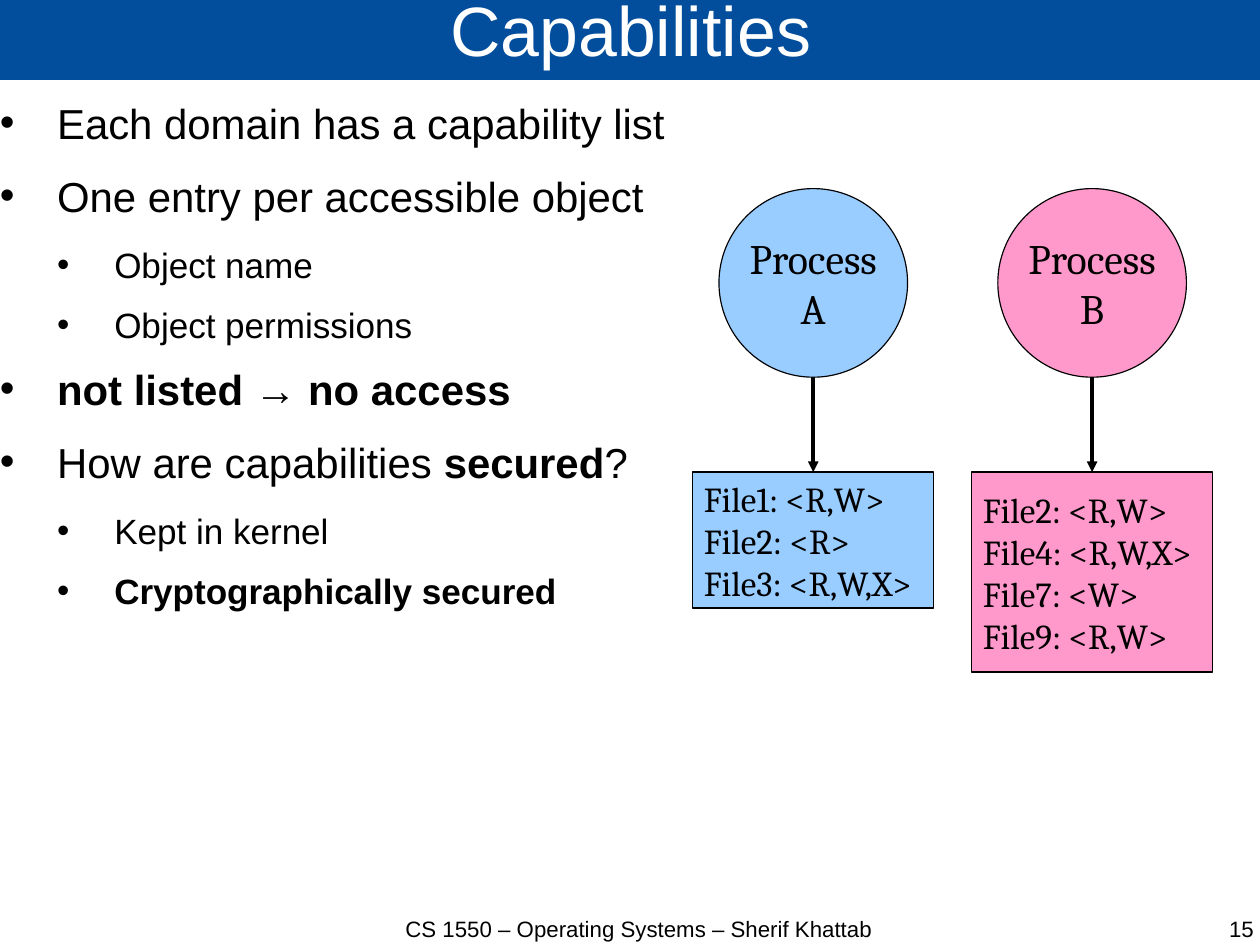
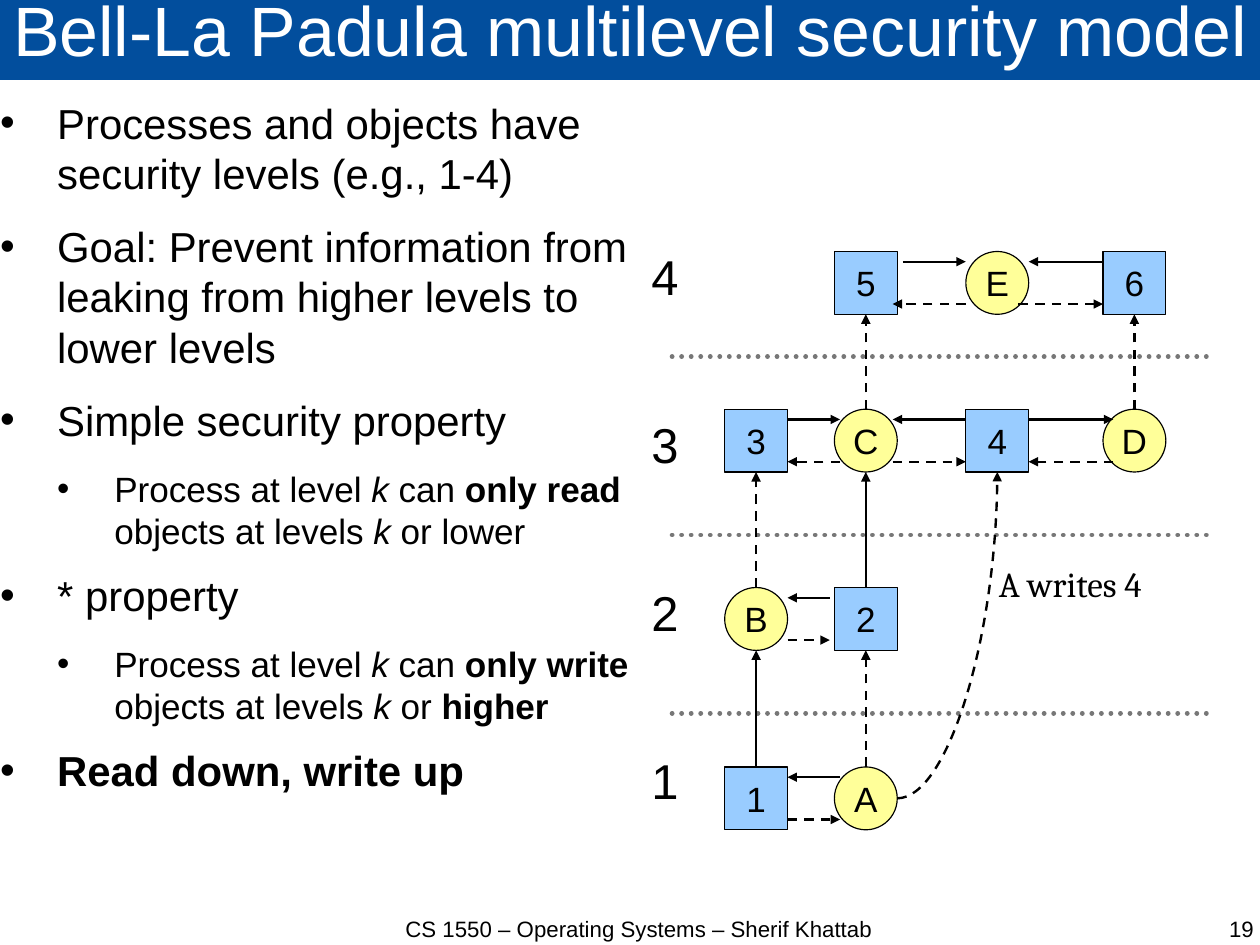
from lxml import etree
from pptx import Presentation
from pptx.dml.color import RGBColor
from pptx.enum.dml import MSO_LINE
from pptx.enum.shapes import MSO_CONNECTOR, MSO_SHAPE
from pptx.enum.text import MSO_ANCHOR, MSO_AUTO_SIZE, PP_ALIGN
from pptx.oxml.ns import qn
from pptx.util import Inches, Pt

RECT, ELLIPSE = MSO_SHAPE.RECTANGLE, MSO_SHAPE.OVAL
STRAIGHT, CURVE = MSO_CONNECTOR.STRAIGHT, MSO_CONNECTOR.CURVE
DASH, DOT = MSO_LINE.DASH, MSO_LINE.ROUND_DOT
LEFT, CENTER, RIGHT = PP_ALIGN.LEFT, PP_ALIGN.CENTER, PP_ALIGN.RIGHT
TOP, MIDDLE = MSO_ANCHOR.TOP, MSO_ANCHOR.MIDDLE
GROW = MSO_AUTO_SIZE.SHAPE_TO_FIT_TEXT
SIDE_TOP, SIDE_BOTTOM = 0, 2


class Theme:
    black, white = "000000", "FFFFFF"
    band, separator = "024E9D", "777777"
    blue, pink, yellow = "99CCFF", "FF99CC", "FFFF99"
    sans, serif = "Arial", "Cambria"
    title, level, body, detail, footer = 44, 30.87, 26.46, 22.05, 14
    body_sizes = (body, detail)
    body_gaps = (14.2, 11.4)


def add_text(slide, paragraphs, box, size=Theme.detail, font=Theme.sans, color=Theme.black,
             shape=None, fill=None, outline=True, align=LEFT, anchor=TOP, wrap=False,
             inset=True, grow=False, spacing=None, bullets=False):
    """Each paragraph is (level, text); | toggles bold and _ toggles italic."""
    place = [Inches(length) for length in box]
    if shape is None:
        holder = slide.shapes.add_textbox(*place)
    else:
        holder = slide.shapes.add_shape(shape, *place)
        holder.shadow.inherit = False
        holder.fill.solid()
        holder.fill.fore_color.rgb = RGBColor.from_string(fill)
        if outline:
            holder.line.color.rgb = RGBColor.from_string(Theme.black)
            holder.line.width = Pt(0.75)
        else:
            holder.line.fill.background()
    frame = holder.text_frame
    frame.word_wrap = wrap
    frame.vertical_anchor = anchor
    if grow:
        frame.auto_size = GROW
    if not inset:
        frame.margin_left = frame.margin_right = frame.margin_top = frame.margin_bottom = 0
    if isinstance(paragraphs, str):
        paragraphs = [(0, paragraphs)]
    for number, (level, text) in enumerate(paragraphs):
        paragraph = frame.add_paragraph() if number else frame.paragraphs[0]
        paragraph.alignment = align
        if spacing:
            paragraph.line_spacing = spacing
        run_size = size
        if bullets:
            run_size = Theme.body_sizes[level]
            paragraph.level = level
            properties = paragraph._p.get_or_add_pPr()
            properties.set("marL", str(Inches(0.5 * (level + 1))))
            properties.set("indent", str(Inches(-0.5)))
            bullet_color = etree.SubElement(properties, qn("a:buClr"))
            etree.SubElement(bullet_color, qn("a:srgbClr")).set("val", color)
            etree.SubElement(properties, qn("a:buFont")).set("typeface", font)
            etree.SubElement(properties, qn("a:buChar")).set("char", "•")
            paragraph.space_after = Pt(Theme.body_gaps[level])
        for line_number, line in enumerate(text.split("\n")):
            if line_number:
                paragraph.add_line_break()
            for bold_index, chunk in enumerate(line.split("|")):
                for italic_index, part in enumerate(chunk.split("_")):
                    if part:
                        run = paragraph.add_run()
                        run.text = part
                        run.font.name = font
                        run.font.size = Pt(run_size)
                        run.font.bold = bold_index % 2 == 1
                        run.font.italic = italic_index % 2 == 1
                        run.font.color.rgb = RGBColor.from_string(color)
    return holder


def add_line(slide, start, end, width=1.5, color=Theme.black, dash=None, arrow=True, kind=STRAIGHT):
    line = slide.shapes.add_connector(kind, *[Inches(length) for length in (*start, *end)])
    line.line.color.rgb = RGBColor.from_string(color)
    line.line.width = Pt(width)
    if dash:
        line.line.dash_style = dash
    properties = line.element.spPr
    stroke = properties.find(qn("a:ln"))
    if dash == DOT:
        stroke.set("cap", "rnd")
    if arrow:
        etree.SubElement(stroke, qn("a:tailEnd")).set("type", "triangle")
    if kind == CURVE:
        properties.find(qn("a:prstGeom")).set("prst", "curvedConnector2")
    etree.SubElement(properties, qn("a:effectLst"))
    return line


presentation = Presentation()
presentation.slide_width = Inches(28 / 2.54)
presentation.slide_height = Inches(21 / 2.54)

contents = [
    ("Capabilities", "15", 6.06, [
        (0, "Each domain has a capability list"),
        (0, "One entry per accessible object"),
        (1, "Object name"),
        (1, "Object permissions"),
        (0, "|not listed → no access|"),
        (0, "How are capabilities |secured|?"),
        (1, "Kept in kernel"),
        (1, "|Cryptographically secured|"),
    ]),
    ("Bell-La Padula multilevel security model", "19", 5.51, [
        (0, "Processes and objects have security levels (e.g., 1-4)"),
        (0, "Goal: Prevent information from leaking from higher levels to lower levels"),
        (0, "Simple security property"),
        (1, "Process at level _k_ can |only read |objects at levels _k_ or lower"),
        (0, "* property"),
        (1, "Process at level _k_ can |only write |objects at levels _k_ or |higher|"),
        (0, "|Read down, write up|"),
    ]),
]
slides = []
for title, page, body_width, points in contents:
    slide = presentation.slides.add_slide(presentation.slide_layouts[6])
    add_text(slide, title, (0, -0.02, 11.04, 0.72), size=Theme.title, color=Theme.white,
             shape=RECT, fill=Theme.band, outline=False, align=CENTER, anchor=MIDDLE,
             wrap=True, inset=False, spacing=0.69)
    add_text(slide, points, (0, 0.85, body_width, 7.12), wrap=True, inset=False, bullets=True)
    add_text(slide, "CS 1550 – Operating Systems – Sherif Khattab", (3.07, 8.01, 5.04, 0.55),
             size=Theme.footer, align=CENTER, wrap=True, inset=False)
    add_text(slide, page, (8.44, 8.01, 2.53, 0.55),
             size=Theme.footer, align=RIGHT, wrap=True, inset=False)
    slides.append(slide)
capabilities, security_model = slides

processes = [
    ("Process\nA", 6.06, 1.19, Theme.blue, "File1: <R,W>\nFile2: <R>\nFile3: <R,W,X>"),
    ("Process\nB", 8.5, 1.75, Theme.pink, "File2: <R,W>\nFile4: <R,W,X>\nFile7: <W>\nFile9: <R,W>"),
]
list_width, list_top, circle, circle_top = 2.11, 4.13, 1.65, 1.65
for process, left, list_height, fill, entries in processes:
    middle = left + list_width / 2
    capability_list = add_text(capabilities, entries, (left, list_top, list_width, list_height),
                               font=Theme.serif, shape=RECT, fill=fill, anchor=MIDDLE)
    pointer = add_line(capabilities, (middle, circle_top + circle), (middle, list_top), width=2.25)
    pointer.end_connect(capability_list, SIDE_TOP)
    add_text(capabilities, process, (middle - circle / 2, circle_top, circle, circle),
             size=Theme.body, font=Theme.serif, shape=ELLIPSE, fill=fill,
             align=CENTER, anchor=MIDDLE)

for index in range(3):
    separator_y = 3.12 + 1.56 * index
    add_line(security_model, (5.88, separator_y), (10.56, separator_y),
             width=3, color=Theme.separator, dash=DOT, arrow=False)
for index, level in enumerate("4321"):
    add_text(security_model, level, (5.6, 2.11 + 1.47 * index, 0.44, 0.62),
             size=Theme.level, grow=True)

node = 0.55
columns = (6.34, 7.3, 8.45, 9.65)
level_tops = {4: 2.2, 3: 3.58, 2: 5.14, 1: 6.71}
level_nodes = {4: " 5E6", 3: "3C4D", 2: "B2", 1: "1A"}
nodes, corners = {}, {}
for level, names in level_nodes.items():
    for left, name in zip(columns, names):
        if name != " ":
            is_process = name.isalpha()
            corners[name] = (left, level_tops[level])
            nodes[name] = add_text(security_model, name, (*corners[name], node, node),
                                   shape=ELLIPSE if is_process else RECT,
                                   fill=Theme.yellow if is_process else Theme.blue,
                                   align=CENTER, anchor=MIDDLE)

same_level_access = [
    (4, (7.9, 8.45), (8.45, 7.81)),
    (4, (9.65, 9), (8.91, 9.65)),
    (3, (6.89, 7.35), (7.35, 6.89)),
    (3, (8.45, 7.81), (7.81, 8.45)),
    (3, (9, 9.74), (9.74, 9)),
    (2, (7.26, 6.89), (6.89, 7.26)),
    (1, (7.35, 6.89), (6.89, 7.35)),
]
for level, read, write in same_level_access:
    for (start, end), drop, dash in ((read, 0.09, None), (write, 0.46, DASH)):
        access_y = level_tops[level] + drop
        add_line(security_model, (start, access_y), (end, access_y), dash=dash)

cross_level_access = [("D", "6", DASH), ("C", "5", DASH), ("2", "C", None),
                      ("1", "B", None), ("A", "2", DASH), ("B", "3", DASH)]
for lower, upper, dash in cross_level_access:
    middle = corners[lower][0] + node / 2
    access = add_line(security_model, (middle, corners[lower][1]),
                      (middle, corners[upper][1] + node), dash=dash)
    if lower.isdigit():
        access.begin_connect(nodes[lower], SIDE_TOP)
    if upper.isdigit():
        access.end_connect(nodes[upper], SIDE_BOTTOM)

add_line(security_model, (corners["A"][0] + node, corners["A"][1] + node / 2),
         (corners["4"][0] + node / 2, corners["4"][1] + node), dash=DASH, kind=CURVE)
add_text(security_model, "A writes 4", (8.64, 4.87, 1.47, 0.47), font=Theme.serif, grow=True)

presentation.save("out.pptx")
